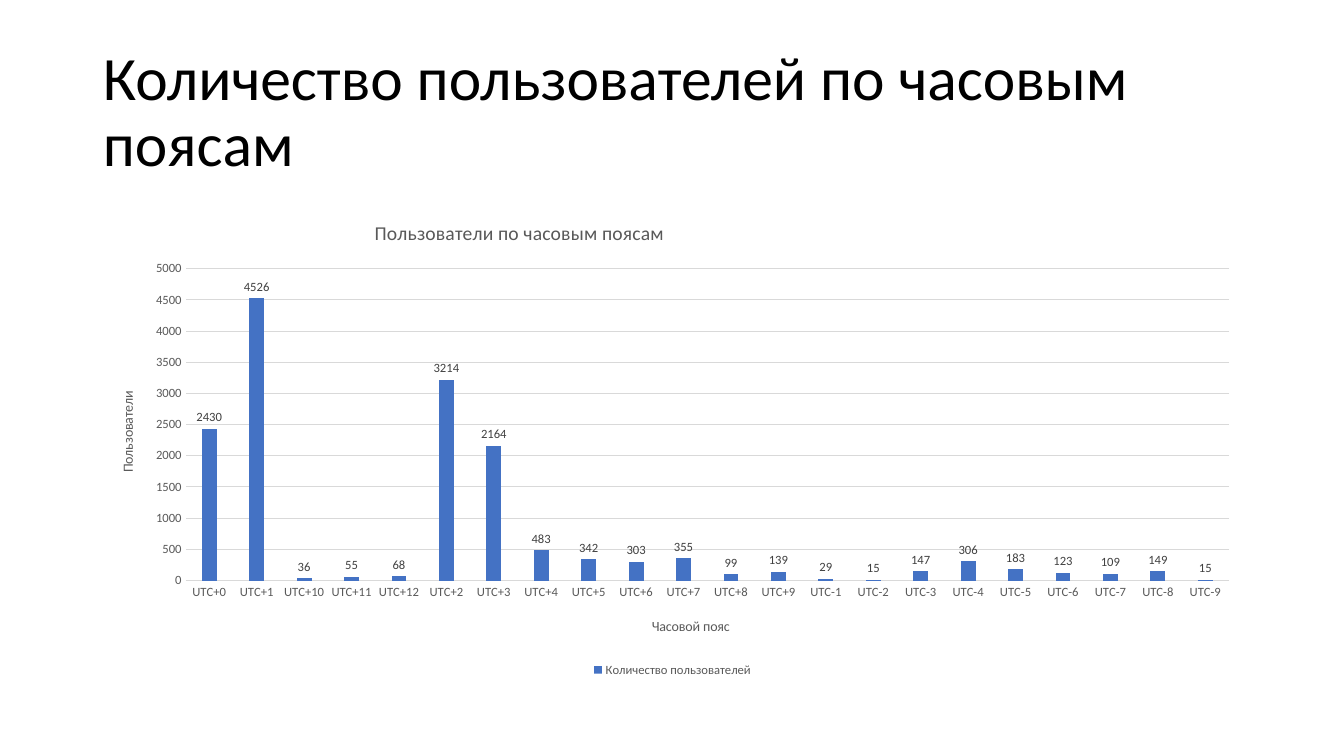
from lxml.etree import SubElement
from pptx import Presentation
from pptx.chart.data import CategoryChartData
from pptx.dml.color import RGBColor
from pptx.enum.chart import XL_CHART_TYPE, XL_LABEL_POSITION, XL_LEGEND_POSITION, XL_TICK_MARK
from pptx.enum.text import MSO_ANCHOR, MSO_AUTO_SIZE, PP_ALIGN
from pptx.oxml.ns import qn
from pptx.util import Inches, Pt

SLIDE_TITLE = "Количество пользователей по часовым поясам"
CHART_TITLE = "Пользователи по часовым поясам"
ZONE_TITLE = "Часовой пояс"
USERS_TITLE = "Пользователи"
SERIES_NAME = "Количество пользователей"
USERS_BY_ZONE = {
    "UTC+0": 2430, "UTC+1": 4526, "UTC+10": 36, "UTC+11": 55, "UTC+12": 68,
    "UTC+2": 3214, "UTC+3": 2164, "UTC+4": 483, "UTC+5": 342, "UTC+6": 303,
    "UTC+7": 355, "UTC+8": 99, "UTC+9": 139, "UTC-1": 29, "UTC-2": 15,
    "UTC-3": 147, "UTC-4": 306, "UTC-5": 183, "UTC-6": 123, "UTC-7": 109,
    "UTC-8": 149, "UTC-9": 15,
}
COLORS = {"title": "000000", "text": "595959", "label": "404040", "grid": "D9D9D9", "bar": "4472C4"}
FONT = "Calibri"
LEFT, WIDTH = Inches(0.92), Inches(11.5)


def color(name):
    return RGBColor.from_string(COLORS[name])


def style_font(font, size, color_name):
    font.name = FONT
    font.size = Pt(size)
    font.bold = False
    font.color.rgb = color(color_name)


def style_line(line):
    line.color.rgb = color("grid")
    line.width = Pt(0.75)


def place(element, index, **fractions):
    for old_layout in element.findall(qn("c:layout")):
        element.remove(old_layout)
    layout = SubElement(element, qn("c:layout"))
    element.insert(index, layout)
    manual = SubElement(layout, qn("c:manualLayout"))
    settings = {"xMode": "edge", "yMode": "edge", **fractions}
    if "w" in fractions:
        settings = {"layoutTarget": "inner", **settings}
    for tag, value in settings.items():
        SubElement(manual, qn(f"c:{tag}")).set("val", str(value))


def write_title(chart_title, text, size, x, y):
    paragraph = chart_title.text_frame.paragraphs[0]
    run = paragraph.add_run()
    run.text = text
    style_font(run.font, size, "text")
    place(chart_title._element, 1, x=x, y=y)


presentation = Presentation()
presentation.slide_width = Inches(13.33)
presentation.slide_height = Inches(7.5)
slide = presentation.slides.add_slide(presentation.slide_layouts[5])

title = slide.shapes.title
title.left, title.top, title.width, title.height = LEFT, Inches(0.4), WIDTH, Inches(1.45)
frame = title.text_frame
frame.word_wrap = True
frame.auto_size = MSO_AUTO_SIZE.NONE
frame.vertical_anchor = MSO_ANCHOR.MIDDLE
paragraph = frame.paragraphs[0]
paragraph.alignment = PP_ALIGN.LEFT
paragraph.line_spacing = 0.9
run = paragraph.add_run()
run.text = SLIDE_TITLE
style_font(run.font, 44, "title")

chart_data = CategoryChartData()
chart_data.categories = list(USERS_BY_ZONE)
chart_data.add_series(SERIES_NAME, list(USERS_BY_ZONE.values()))
chart = slide.shapes.add_chart(
    XL_CHART_TYPE.COLUMN_CLUSTERED, LEFT, Inches(2), WIDTH, Inches(4.76), chart_data
).chart
style_font(chart.font, 10, "title")
chart.has_title = True
write_title(chart.chart_title, CHART_TITLE, 14, 0.24, 0.03)

category_axis, value_axis = chart.category_axis, chart.value_axis
for axis, text, x, y in (
    (category_axis, ZONE_TITLE, 0.48, 0.86),
    (value_axis, USERS_TITLE, 0.02, 0.39),
):
    axis.has_title = True
    write_title(axis.axis_title, text, 10, x, y)
    axis.major_tick_mark = axis.minor_tick_mark = XL_TICK_MARK.NONE
    style_font(axis.tick_labels.font, 9, "text")
style_line(category_axis.format.line)
value_axis.format.line.fill.background()
value_axis.minimum_scale, value_axis.maximum_scale, value_axis.major_unit = 0, 5000, 500
value_axis.has_major_gridlines = True
style_line(value_axis.major_gridlines.format.line)

chart.has_legend = True
chart.legend.position = XL_LEGEND_POSITION.BOTTOM
chart.legend.include_in_layout = False
style_font(chart.legend.font, 9, "text")

plot = chart.plots[0]
plot.gap_width = 219
plot.overlap = -27
plot.vary_by_categories = False
series = plot.series[0]
series.format.fill.solid()
series.format.fill.fore_color.rgb = color("bar")
labels = series.data_labels
labels.show_value = True
labels.position = XL_LABEL_POSITION.OUTSIDE_END
style_font(labels.font, 9, "label")
plot_area = chart._chartSpace.chart.plotArea
place(plot_area, 0, x=0.08, y=0.14, w=0.9, h=0.65)

presentation.save("out.pptx")
